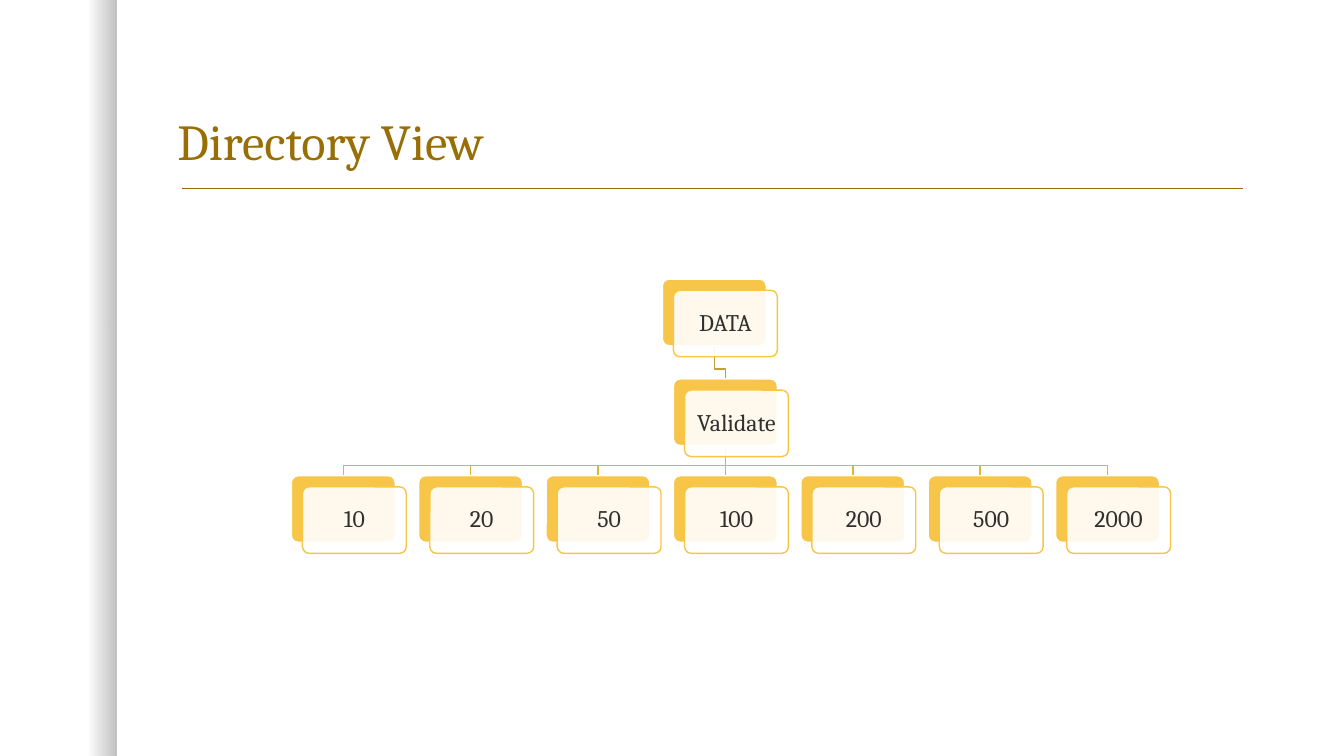
from dataclasses import dataclass

from lxml import etree
from pptx import Presentation
from pptx.dml.color import RGBColor
from pptx.enum import shapes, text
from pptx.oxml import ns
from pptx.util import Inches, Pt


@dataclass(frozen=True)
class Theme:
    font: str = "Cambria"
    title_size: int = 36
    card_size: int = 17
    line_width: int = 1
    title: str = "986F07"
    card: str = "F7C547"
    card_text: str = "303030"
    paper: str = "FFFFFF"
    shade: str = "000000"
    upper_link: str = "C69E39"
    lower_link: str = "E0B340"


THEME = Theme()

# Card measures in inches
CARD_WIDTH, CARD_HEIGHT = 1.03, 0.66
CARD_OFFSET = 0.11
BEND_GAP = 0.1


def rgb(value):
    return RGBColor.from_string(value)


def set_alpha(fill_element, percents):
    """Give each colour inside a fill its opacity, in order."""
    for colour, percent in zip(fill_element.iter(ns.qn("a:srgbClr")), percents):
        etree.SubElement(colour, ns.qn("a:alpha"), val=str(percent * 1000))


def style_line(shape, colour):
    shape.line.color.rgb = rgb(colour)
    shape.line.width = Pt(THEME.line_width)


def add_run(paragraph, wording, size, colour):
    run = paragraph.add_run()
    run.text = wording
    run.font.name = THEME.font
    run.font.size = Pt(size)
    run.font.color.rgb = rgb(colour)


def add_straight_line(slide, start, end, colour):
    points = [Inches(value) for value in (*start, *end)]
    line = slide.shapes.add_connector(shapes.MSO_CONNECTOR.STRAIGHT, *points)
    style_line(line, colour)
    etree.SubElement(line._element.spPr, ns.qn("a:effectLst"))


def add_side_shade(slide, left, top, width, height):
    shade = slide.shapes.add_shape(
        shapes.MSO_SHAPE.RECTANGLE,
        Inches(left), Inches(top), Inches(width), Inches(height))
    shade.shadow.inherit = False
    shade.line.fill.background()
    shade.fill.gradient()
    shade.fill.gradient_angle = 0
    for stop, position in zip(shade.fill.gradient_stops, (0.75, 1)):
        stop.position = position
        stop.color.rgb = rgb(THEME.shade)
    set_alpha(shade._element.spPr.find(ns.qn("a:gradFill")), (0, 25))


def add_heading(slide, wording, left, top, width, height):
    # Rule under the title
    rule_y = top + height + 0.12
    add_straight_line(slide, (left + 0.15, rule_y),
                      (left + width - 0.08, rule_y), THEME.title)

    title = slide.shapes.title
    title.left, title.top = Inches(left), Inches(top)
    title.width, title.height = Inches(width), Inches(height)
    title.text_frame.vertical_anchor = text.MSO_ANCHOR.BOTTOM
    paragraph = title.text_frame.paragraphs[0]
    paragraph.alignment = text.PP_ALIGN.LEFT
    paragraph.line_spacing = 0.9
    add_run(paragraph, wording, THEME.title_size, THEME.title)


def add_link(slide, parent, child, colour):
    """Join the bottom of the parent card to the top of the child card."""
    start_x, end_x = (card[0] + CARD_WIDTH / 2 for card in (parent, child))
    start_y, end_y = parent[1] + CARD_HEIGHT, child[1]
    if abs(start_x - end_x) < 0.01:
        add_straight_line(slide, (start_x, start_y), (end_x, end_y), colour)
        return
    bend_y = end_y - BEND_GAP
    corners = [(start_x, start_y), (start_x, bend_y),
               (end_x, bend_y), (end_x, end_y)]
    # Freeform points are whole numbers, so they are given in EMU
    start, *others = [(Inches(x), Inches(y)) for x, y in corners]
    builder = slide.shapes.build_freeform(*start)
    builder.add_line_segments(others, close=False)
    link = builder.convert_to_shape()
    link.shadow.inherit = False
    link.fill.background()
    style_line(link, colour)


def add_rounded_panel(slide, left, top, fill, line):
    panel = slide.shapes.add_shape(
        shapes.MSO_SHAPE.ROUNDED_RECTANGLE,
        Inches(left), Inches(top), Inches(CARD_WIDTH), Inches(CARD_HEIGHT))
    panel.adjustments[0] = 0.1
    panel.shadow.inherit = False
    panel.fill.solid()
    panel.fill.fore_color.rgb = rgb(fill)
    style_line(panel, line)
    return panel


def add_card(slide, wording, left, top):
    add_rounded_panel(slide, left, top, THEME.card, THEME.paper)
    front = add_rounded_panel(slide, left + CARD_OFFSET, top + CARD_OFFSET,
                              THEME.paper, THEME.card)
    set_alpha(front._element.spPr.find(ns.qn("a:solidFill")), (90,))

    frame = front.text_frame
    frame.word_wrap = True
    frame.vertical_anchor = text.MSO_ANCHOR.MIDDLE
    frame.margin_left = frame.margin_right = Inches(0.09)
    frame.margin_top = frame.margin_bottom = Inches(0.09)
    paragraph = frame.paragraphs[0]
    paragraph.alignment = text.PP_ALIGN.CENTER
    paragraph.line_spacing = 0.9
    add_run(paragraph, wording, THEME.card_size, THEME.card_text)


def add_directory_tree(slide, root, folder, leaves, left, top, width, height):
    # Card positions: leaves fill the width, the folder sits over their middle
    span = width - CARD_WIDTH - CARD_OFFSET
    pitch = span / (len(leaves) - 1)
    leaf_top = top + height - CARD_HEIGHT - CARD_OFFSET
    folder_place = (left + span / 2, top + 0.99)
    root_place = (folder_place[0] - 0.11, top)
    leaf_places = [(left + index * pitch, leaf_top)
                   for index in range(len(leaves))]

    # Links lie behind the cards
    for place in leaf_places:
        add_link(slide, folder_place, place, THEME.lower_link)
    add_link(slide, root_place, folder_place, THEME.upper_link)

    # Cards
    places = [root_place, folder_place, *leaf_places]
    for wording, place in zip([root, folder, *leaves], places):
        add_card(slide, wording, *place)


def main():
    presentation = Presentation()
    presentation.slide_width = Inches(13.33)
    presentation.slide_height = Inches(7.5)
    slide = presentation.slides.add_slide(presentation.slide_layouts[5])

    add_side_shade(slide, 0, 0, 1.16, 7.5)
    add_heading(slide, "Directory View", 1.66, 0.42, 10.75, 1.33)
    add_directory_tree(
        slide, "DATA", "Validate",
        ["10", "20", "50", "100", "200", "500", "2000"],
        2.89, 2.77, 8.72, 2.72)
    presentation.save("out.pptx")


if __name__ == "__main__":
    main()
